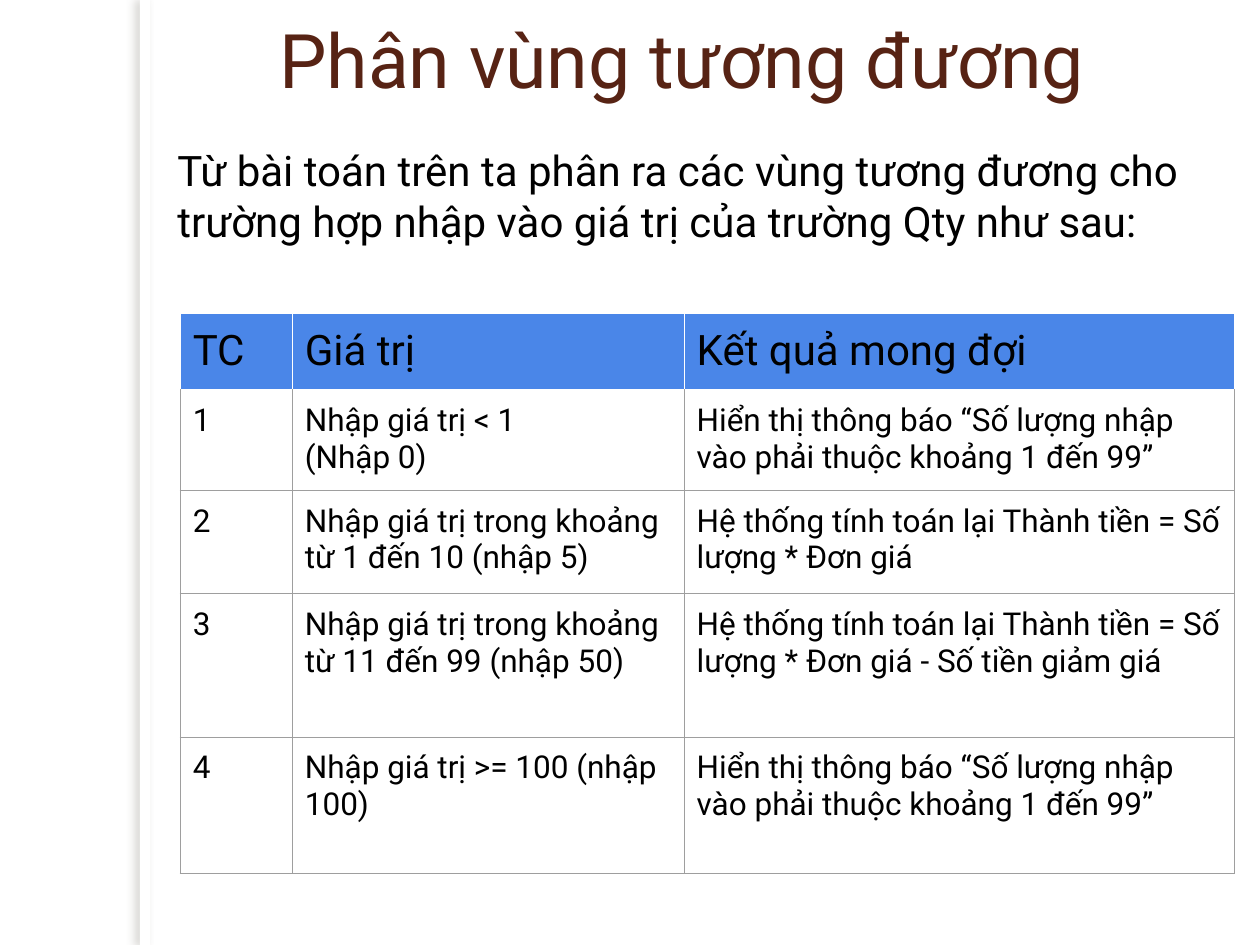
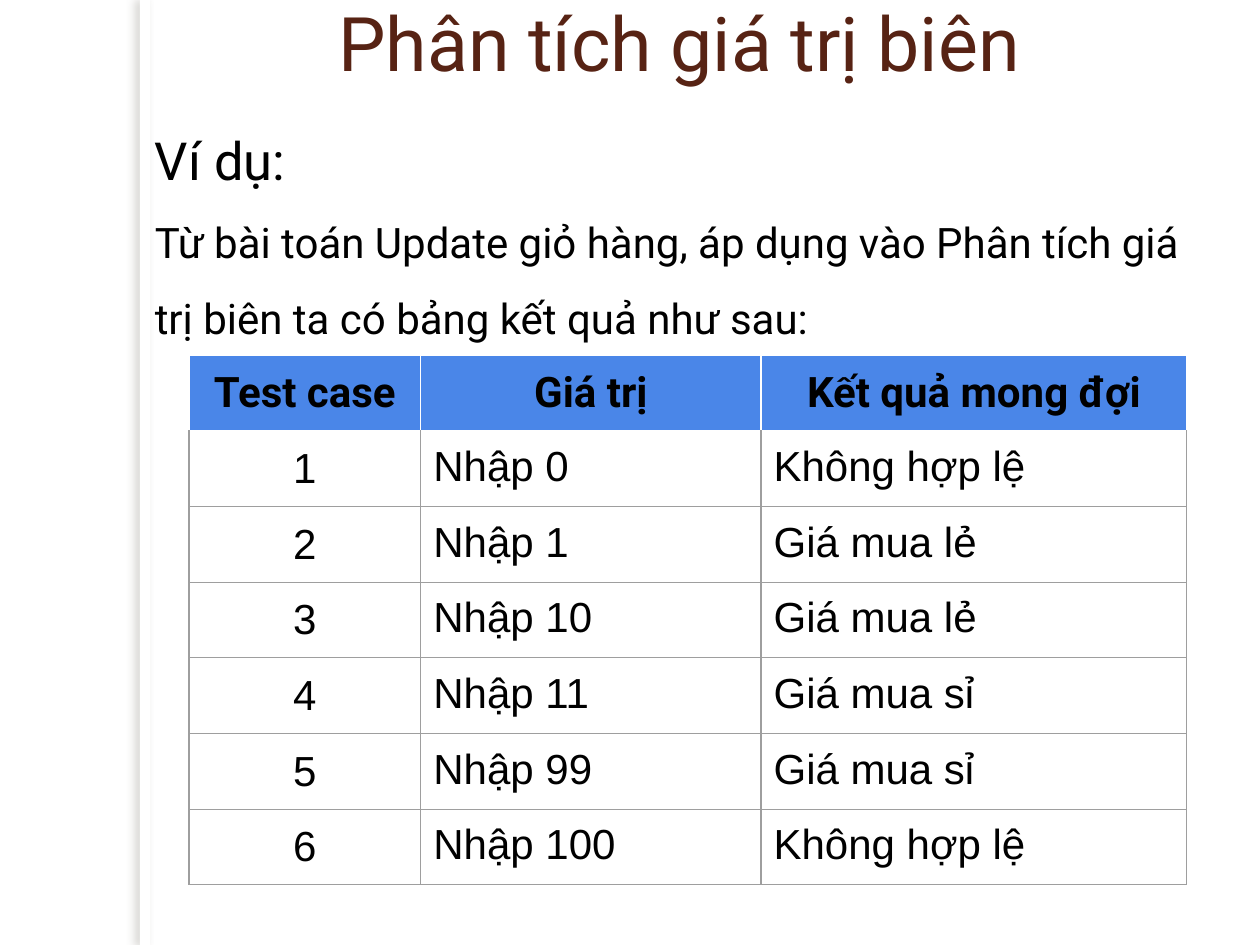
from dataclasses import dataclass

from lxml import etree
from pptx import Presentation
from pptx.dml.color import RGBColor
from pptx.enum.shapes import MSO_SHAPE
from pptx.enum.text import MSO_ANCHOR, PP_ALIGN
from pptx.oxml import parse_xml
from pptx.oxml.ns import nsdecls, qn
from pptx.util import Inches, Pt

RECTANGLE = MSO_SHAPE.RECTANGLE
LEFT, CENTER = PP_ALIGN.LEFT, PP_ALIGN.CENTER
TOP, MIDDLE, BOTTOM = MSO_ANCHOR.TOP, MSO_ANCHOR.MIDDLE, MSO_ANCHOR.BOTTOM

COLORS = {
    "paper": "FFFFFF",
    "title": "572314",
    "text": "000000",
    "header": "4A86E8",
    "grid": "9E9E9E",
    "shadow": "706B5F",
}
BLANK_LAYOUT = 6
GRID_WIDTH = Pt(0.75)
CELL_MARGIN = Inches(0.1)


@dataclass(frozen=True)
class Box:
    left: float
    top: float
    width: float
    height: float

    def lengths(self) -> tuple:
        return tuple(map(Inches, (self.left, self.top, self.width, self.height)))


@dataclass(frozen=True)
class TextPart:
    text: str
    size: float


@dataclass(frozen=True)
class ResultTable:
    left: float
    top: float
    widths: tuple
    heights: tuple
    rows: tuple
    body_size: float
    body_font: str = "Roboto"
    header_bold: bool = False
    centered: bool = False


@dataclass(frozen=True)
class Lesson:
    title: str
    title_box: Box
    intro: tuple
    intro_box: Box
    intro_spacing: float
    results: ResultTable


TOO_LOW_OR_HIGH = "Hiển thị thông báo “Số lượng nhập vào phải thuộc khoảng 1 đến 99”"
RECALCULATED = "Hệ thống tính toán lại Thành tiền = Số lượng * Đơn giá"

LESSONS = (
    Lesson(
        title="Phân vùng tương đương",
        title_box=Box(1.45, 0.18, 7.92, 1.07),
        intro=(
            TextPart(
                "Từ bài toán trên ta phân ra các vùng tương đương cho trường hợp "
                "nhập vào giá trị của trường Qty như sau:", 24),
        ),
        intro_box=Box(1.31, 1.1, 8.16, 5.83),
        intro_spacing=1.0,
        results=ResultTable(
            left=1.43,
            top=2.49,
            widths=(0.89, 3.11, 4.37),
            heights=(0.58, 0.8, 0.82, 1.14, 1.08),
            rows=(
                ("TC", "Giá trị", "Kết quả mong đợi"),
                ("1", "Nhập giá trị < 1\n(Nhập 0)", TOO_LOW_OR_HIGH),
                ("2", "Nhập giá trị trong khoảng từ 1 đến 10 (nhập 5)", RECALCULATED),
                ("3", "Nhập giá trị trong khoảng từ 11 đến 99 (nhập 50)",
                 RECALCULATED + " - Số tiền giảm giá"),
                ("4", "Nhập giá trị >= 100 (nhập 100)", TOO_LOW_OR_HIGH),
            ),
            body_size=18,
        ),
    ),
    Lesson(
        title="Phân tích giá trị biên",
        title_box=Box(1.43, 0.18, 7.92, 0.94),
        intro=(
            TextPart("Ví dụ:", 30),
            TextPart(
                "\nTừ bài toán Update giỏ hàng, áp dụng vào Phân tích giá trị biên "
                "ta có bảng kết quả như sau:", 24),
        ),
        intro_box=Box(1.13, 0.72, 8.65, 6.48),
        intro_spacing=1.5,
        results=ResultTable(
            left=1.5,
            top=2.82,
            widths=(1.84, 2.7, 3.38),
            heights=(0.59,) + (0.57,) * 6,
            rows=(
                ("Test case", "Giá trị", "Kết quả mong đợi"),
                ("1", "Nhập 0", "Không hợp lệ"),
                ("2", "Nhập 1", "Giá mua lẻ"),
                ("3", "Nhập 10", "Giá mua lẻ"),
                ("4", "Nhập 11", "Giá mua sỉ"),
                ("5", "Nhập 99", "Giá mua sỉ"),
                ("6", "Nhập 100", "Không hợp lệ"),
            ),
            body_size=24,
            body_font="Arial",
            header_bold=True,
            centered=True,
        ),
    ),
)


def rgb(name: str) -> RGBColor:
    return RGBColor.from_string(COLORS[name])


def write(paragraph, text: str, *, size: float, font: str = "Roboto",
          color: str = "text", bold: bool = False, align=LEFT,
          spacing: float = 1.0) -> None:
    paragraph.alignment = align
    paragraph.line_spacing = spacing
    for index, line in enumerate(text.split("\n")):
        if index:
            paragraph.add_line_break()
        if line:
            run = paragraph.add_run()
            run.text = line
            run.font.size = Pt(size)
            run.font.name = font
            run.font.bold = bold
            run.font.color.rgb = rgb(color)


def add_frame(slide, box: Box, *, anchor=TOP, side: float = 0.1,
              top: float = 0.05, bottom: float = 0.05):
    frame = slide.shapes.add_textbox(*box.lengths()).text_frame
    frame.word_wrap = True
    frame.vertical_anchor = anchor
    frame.margin_left = frame.margin_right = Inches(side)
    frame.margin_top, frame.margin_bottom = Inches(top), Inches(bottom)
    return frame


def add_side_band(slide) -> None:
    band = slide.shapes.add_shape(RECTANGLE, *Box(1.11, 0, 0.08, 7.5).lengths())
    band.fill.solid()
    band.fill.fore_color.rgb = rgb("paper")
    band.line.fill.background()
    band.shadow.inherit = False
    effects = band.fill._xPr.find(qn("a:effectLst"))
    effects.append(parse_xml(
        f'<a:outerShdw {nsdecls("a")} blurRad="{Pt(5)}" dist="{Pt(3)}" '
        f'dir="10800000" algn="tl" rotWithShape="0">'
        f'<a:srgbClr val="{COLORS["shadow"]}"><a:alpha val="25000"/></a:srgbClr>'
        f'</a:outerShdw>'))


def set_borders(cell, row: int) -> None:
    properties = cell._tc.get_or_add_tcPr()
    for index, side in enumerate("LRTB"):
        white = row == 0 or (row == 1 and side == "T")
        line = etree.Element(qn(f"a:ln{side}"), w=str(GRID_WIDTH))
        fill = etree.SubElement(line, qn("a:solidFill"))
        etree.SubElement(fill, qn("a:srgbClr"), val=COLORS["paper" if white else "grid"])
        properties.insert(index, line)


def fill_cell(cell, text: str, row: int, column: int, results: ResultTable) -> None:
    header = row == 0
    centered = results.centered and (header or column == 0)
    cell.margin_left = cell.margin_right = CELL_MARGIN
    cell.margin_top = cell.margin_bottom = CELL_MARGIN
    cell.vertical_anchor = MIDDLE if centered else TOP
    if header:
        cell.fill.solid()
        cell.fill.fore_color.rgb = rgb("header")
    else:
        cell.fill.background()
    frame = cell.text_frame
    for index, line in enumerate(text.split("\n")):
        write(frame.add_paragraph() if index else frame.paragraphs[0], line,
              size=24 if header else results.body_size,
              font="Roboto" if header else results.body_font,
              bold=header and results.header_bold,
              align=CENTER if centered else LEFT)
    set_borders(cell, row)


def add_results(slide, results: ResultTable) -> None:
    box = Box(results.left, results.top, sum(results.widths), sum(results.heights))
    table = slide.shapes.add_table(
        len(results.heights), len(results.widths), *box.lengths()).table
    table.first_row = table.horz_banding = False
    for column, width in zip(table.columns, results.widths):
        column.width = Inches(width)
    for row, height in zip(table.rows, results.heights):
        row.height = Inches(height)
    for row, texts in enumerate(results.rows):
        for column, text in enumerate(texts):
            fill_cell(table.cell(row, column), text, row, column, results)


def add_lesson(presentation, lesson: Lesson) -> None:
    slide = presentation.slides.add_slide(presentation.slide_layouts[BLANK_LAYOUT])
    slide.background.fill.solid()
    slide.background.fill.fore_color.rgb = rgb("paper")
    add_side_band(slide)
    title = add_frame(slide, lesson.title_box, anchor=BOTTOM, side=0, top=0, bottom=0.43)
    write(title.paragraphs[0], lesson.title, size=43, color="title", align=CENTER)
    intro = add_frame(slide, lesson.intro_box).paragraphs[0]
    for part in lesson.intro:
        write(intro, part.text, size=part.size, spacing=lesson.intro_spacing)
    add_results(slide, lesson.results)


def main() -> None:
    presentation = Presentation()
    presentation.slide_width, presentation.slide_height = Inches(10), Inches(7.5)
    for lesson in LESSONS:
        add_lesson(presentation, lesson)
    presentation.save("out.pptx")


if __name__ == "__main__":
    main()
